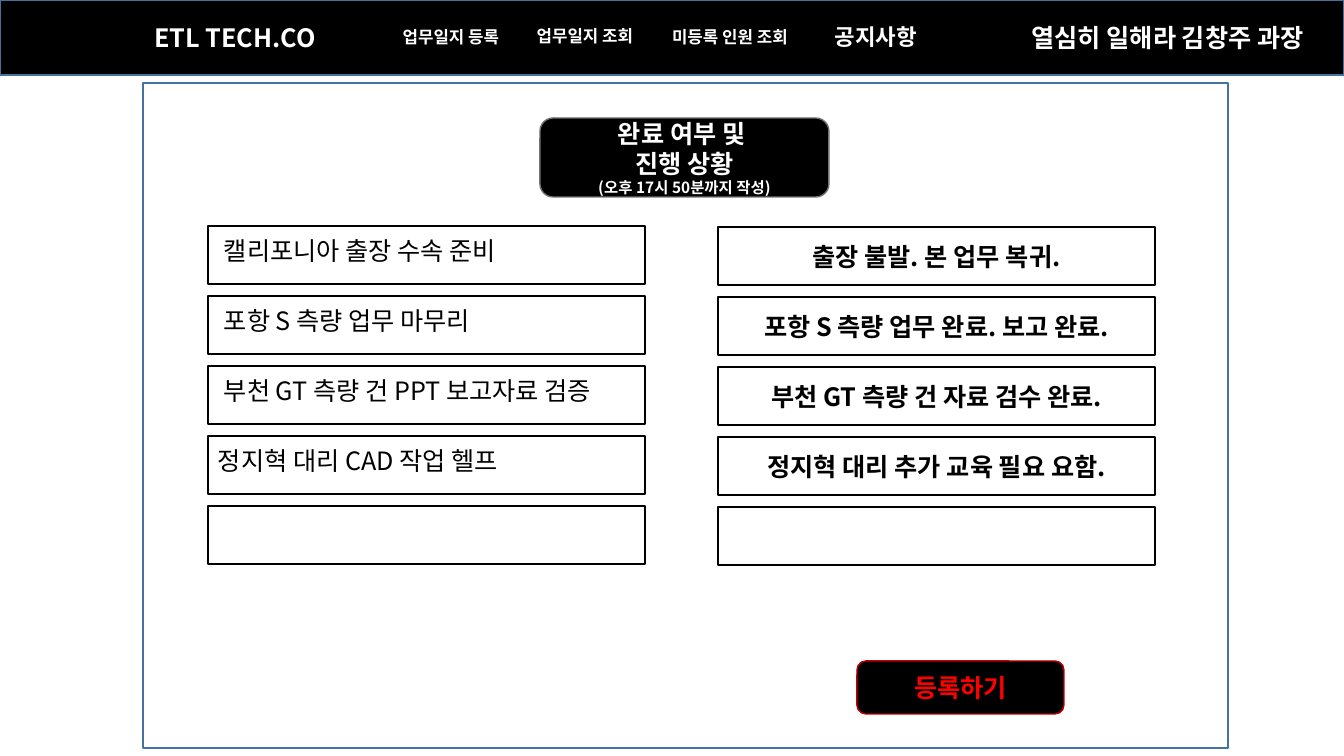
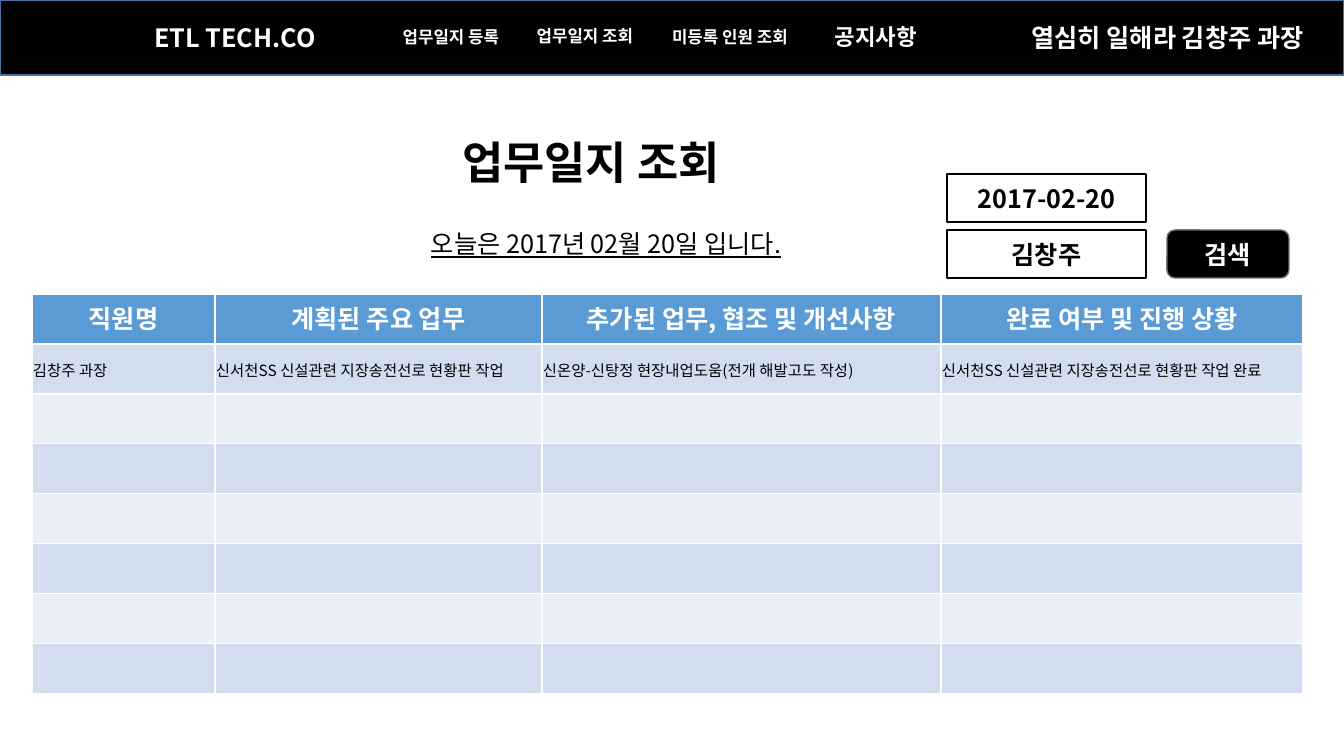
"""Build the two work-journal screens: progress entry and journal search."""
from dataclasses import dataclass

from lxml import etree
from pptx import Presentation
from pptx import util as u
from pptx.dml.color import RGBColor
from pptx.enum import shapes, text
from pptx.oxml.ns import qn

EMU_PER_PIXEL = 914400 / 100.8
TITLE_ONLY = 5
RECTANGLE = shapes.MSO_SHAPE.RECTANGLE
ROUNDED = shapes.MSO_SHAPE.ROUNDED_RECTANGLE
CENTER, LEFT = text.PP_ALIGN.CENTER, text.PP_ALIGN.LEFT
MIDDLE, TOP = text.MSO_ANCHOR.MIDDLE, text.MSO_ANCHOR.TOP


@dataclass(frozen=True)
class Theme:
    """Colours, font and type sizes shared by the slides."""
    font: str = "Noto Sans CJK KR"
    black: str = "000000"
    white: str = "FFFFFF"
    frame: str = "43739E"
    gray: str = "767171"
    red: str = "FF0000"
    dark_red: str = "C00000"
    table_header: str = "5B9BD5"
    table_bands: tuple = ("D2DEEF", "EAEFF7")
    title: int = 32
    body: int = 18
    menu_large: int = 16
    menu: int = 12
    small: int = 11


@dataclass(frozen=True)
class Box:
    """A rectangle in pixels."""
    left: int
    top: int
    width: int
    height: int

    def inside(self, left, top, width, height):
        """Return a box placed relative to this one."""
        return Box(self.left + left, self.top + top, width, height)

    def emu(self):
        """Return left, top, width and height in EMU."""
        return [pixels(side) for side in (self.left, self.top, self.width, self.height)]


THEME = Theme()
SCREEN = Box(0, 0, 1344, 756)
HEADER = Box(0, 0, 1344, 75)
PANEL = Box(143, 83, 1085, 665)
SEARCH = Box(947, 174, 343, 104)
JOURNAL = Box(32, 294, 1271, 400)

MENU = [
    ("ETL TECH.CO", Box(143, 8, 184, 59), THEME.body),
    ("업무일지 등록", Box(380, 16, 142, 42), THEME.menu),
    ("업무일지 조회", Box(514, 15, 142, 42), THEME.menu),
    ("미등록 인원 조회", Box(655, 16, 150, 42), THEME.menu),
    ("공지사항", Box(805, 16, 142, 42), THEME.menu_large),
    ("열심히 일해라 김창주 과장", Box(1004, 15, 327, 45), THEME.body),
]
TASKS = [
    ("캘리포니아 출장 수속 준비", 6, "출장 불발. 본 업무 복귀."),
    ("포항 S 측량 업무 마무리", 6, "포항 S 측량 업무 완료. 보고 완료."),
    ("부천 GT 측량 건 PPT 보고자료 검증", 6, "부천 GT 측량 건 자료 검수 완료."),
    ("정지혁 대리 CAD 작업 헬프", 0, "정지혁 대리 추가 교육 필요 요함."),
    ("", 0, ""),
]
COLUMN_WIDTHS = [183, 327, 399, 362]
ROW_COUNT = 8
JOURNAL_ROWS = [
    ["직원명", "계획된 주요 업무", "추가된 업무, 협조 및 개선사항", "완료 여부 및 진행 상황"],
    ["김창주 과장", "신서천SS 신설관련 지장송전선로 현황판 작업",
     "신온양-신탕정 현장내업도움(전개 해발고도 작성)",
     "신서천SS 신설관련 지장송전선로 현황판 작업 완료"],
]


def pixels(length):
    """Turn pixels into EMU."""
    return u.Emu(round(length * EMU_PER_PIXEL))


def color(value):
    """Turn a hex string into a colour."""
    return RGBColor.from_string(value)


def write(frame, words, sizes, ink, bold=True, align=CENTER, underline=False):
    """Fill a text frame, with one type size for each paragraph."""
    frame.text = words
    for paragraph, size in zip(frame.paragraphs, sizes):
        paragraph.alignment = align
        for run in paragraph.runs:
            font = run.font
            font.size, font.bold, font.name = u.Pt(size), bold, THEME.font
            font.color.rgb = color(ink)
            if underline:
                font.underline = True
            east_asian = etree.SubElement(run._r.get_or_add_rPr(), qn("a:ea"))
            east_asian.set("typeface", THEME.font)


def add_block(slide, box, fill, line, words="", ink=THEME.black, size=THEME.body, kind=RECTANGLE):
    """Add a filled, outlined shape with centred bold text."""
    shape = slide.shapes.add_shape(kind, *box.emu())
    shape.shadow.inherit = False
    shape.fill.solid()
    shape.fill.fore_color.rgb = color(fill)
    shape.line.color.rgb = color(line)
    shape.line.width = u.Pt(1)
    if words:
        shape.text_frame.vertical_anchor = MIDDLE
        write(shape.text_frame, words, [size], ink)


def add_field(slide, box, words=""):
    """Add a white field with a black outline."""
    add_block(slide, box, THEME.white, THEME.black, words)


def add_label(slide, box, words, underline=False):
    """Add plain wrapping text."""
    frame = slide.shapes.add_textbox(*box.emu()).text_frame
    frame.word_wrap = True
    write(frame, words, [THEME.body], THEME.black, False, LEFT, underline)


def place_title(slide, box, words, sizes, ink, align, anchor):
    """Move the title placeholder to the front and format it."""
    title = slide.shapes.title
    title.left, title.top, title.width, title.height = box.emu()
    slide.shapes._spTree.append(title._element)
    frame = title.text_frame
    frame.word_wrap = True
    frame.auto_size = text.MSO_AUTO_SIZE.NONE
    frame.vertical_anchor = anchor
    write(frame, words, sizes, ink, align=align)


def add_header(slide, box):
    """Draw the black menu band."""
    add_block(slide, box, THEME.black, THEME.frame)
    for words, item, size in MENU:
        place = box.inside(item.left, item.top, item.width, item.height)
        add_block(slide, place, THEME.black, THEME.black, words, THEME.white, size)


def add_tasks(slide, box):
    """Draw the planned tasks on the left and their results on the right."""
    pitch, width, height = 70, 437, 58
    for index, (task, indent, result) in enumerate(TASKS):
        top = index * pitch
        add_field(slide, box.inside(0, top, width, height))
        add_field(slide, box.inside(510, top + 1, width, height), result)
        if task:
            add_label(slide, box.inside(indent, top + 4, 427, 40), task)


def add_search(slide, box):
    """Draw the date and name fields with the search button."""
    for index, words in enumerate(("2017-02-20", "김창주")):
        add_field(slide, box.inside(0, index * 56, 199, 48), words)
    add_block(slide, box.inside(220, 56, 122, 48), THEME.black, THEME.gray,
              "검색", THEME.white, kind=ROUNDED)


def add_journal(slide, box):
    """Draw the journal table."""
    table = slide.shapes.add_table(ROW_COUNT, len(COLUMN_WIDTHS), *box.emu()).table
    for column, width in zip(table.columns, COLUMN_WIDTHS):
        column.width = pixels(width)
    for index, row in enumerate(table.rows):
        row.height = pixels(box.height // ROW_COUNT)
        for cell in row.cells:
            cell.fill.solid()
            fill = THEME.table_bands[(index - 1) % 2] if index else THEME.table_header
            cell.fill.fore_color.rgb = color(fill)
    for column, words in enumerate(JOURNAL_ROWS[0]):
        write(table.cell(0, column).text_frame, words, [THEME.body], THEME.white)
    for column, words in enumerate(JOURNAL_ROWS[1]):
        cell = table.cell(1, column)
        cell.vertical_anchor = MIDDLE
        cell.margin_left = cell.margin_right = cell.margin_top = pixels(1)
        cell.margin_bottom = 0
        write(cell.text_frame, words, [THEME.small], THEME.black, False, LEFT)


def add_screen(presentation):
    """Add a slide with the shared menu band."""
    slide = presentation.slides.add_slide(presentation.slide_layouts[TITLE_ONLY])
    add_header(slide, HEADER)
    return slide


def build_progress(presentation):
    """Build the progress entry slide."""
    slide = add_screen(presentation)
    add_block(slide, PANEL, THEME.white, THEME.frame)
    badge = PANEL.inside(397, 35, 289, 79)
    add_block(slide, badge, THEME.black, THEME.gray, kind=ROUNDED)
    place_title(slide, badge, "완료 여부 및 \n진행 상황\n(오후 17시 50분까지 작성)",
                [THEME.body, THEME.body, THEME.small], THEME.white, CENTER, MIDDLE)
    add_tasks(slide, PANEL.inside(65, 143, 947, 338))
    add_block(slide, PANEL.inside(714, 578, 207, 53), THEME.black, THEME.dark_red,
              "등록하기", THEME.red, kind=ROUNDED)


def build_search(presentation):
    """Build the journal search slide."""
    slide = add_screen(presentation)
    place_title(slide, SCREEN.inside(452, 130, 307, 65), "업무일지 조회",
                [THEME.title], THEME.black, LEFT, TOP)
    add_search(slide, SEARCH)
    add_journal(slide, JOURNAL)
    add_label(slide, SCREEN.inside(421, 223, 403, 40), "오늘은 2017년 02월 20일 입니다.", True)


def main():
    """Build and save the presentation."""
    presentation = Presentation()
    presentation.slide_width = pixels(SCREEN.width)
    presentation.slide_height = pixels(SCREEN.height)
    build_progress(presentation)
    build_search(presentation)
    presentation.save("out.pptx")


main()
